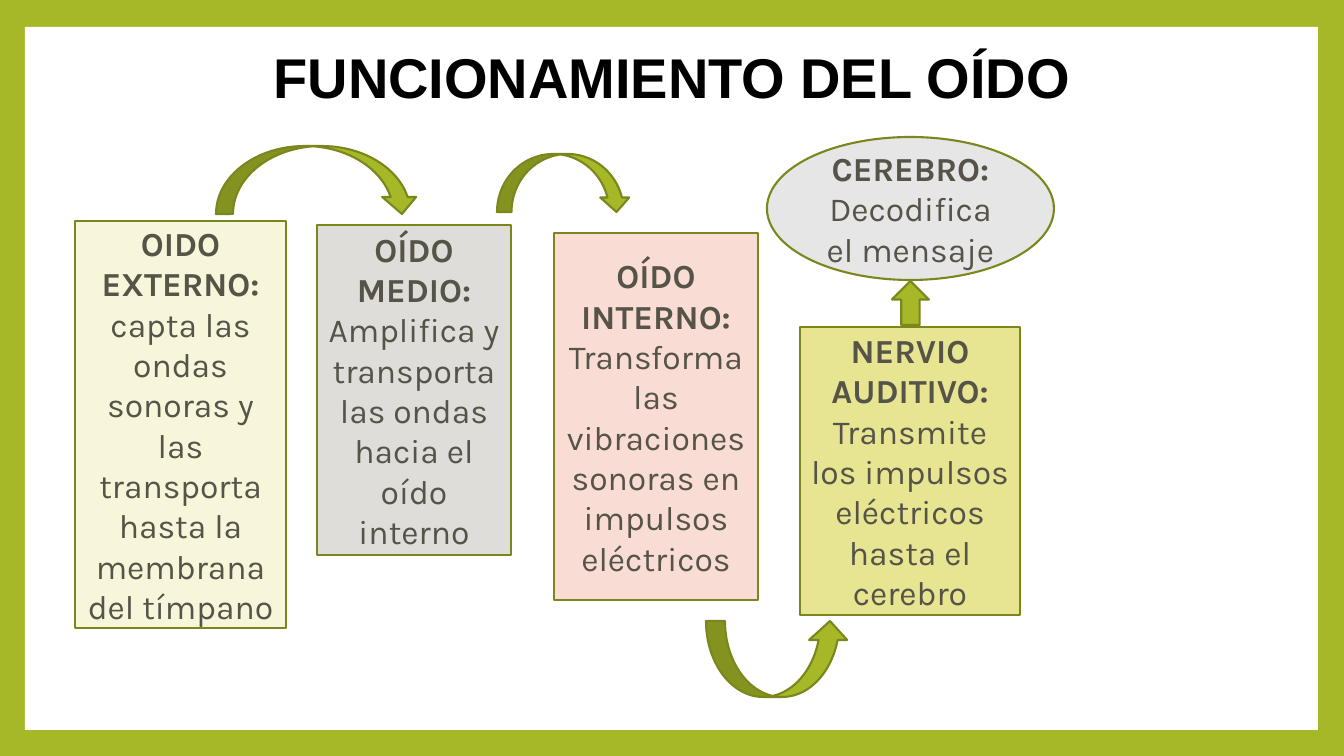
from pptx import Presentation
from pptx.dml.color import RGBColor
from pptx.enum.shapes import MSO_SHAPE
from pptx.enum.text import MSO_ANCHOR, MSO_AUTO_SIZE, PP_ALIGN
from pptx.util import Emu, Pt

# Content: lengths in px
PAGE_SIZE = (1344, 756)
PANEL = (25, 27, 1293, 703)
TITLE = "FUNCIONAMIENTO DEL OÍDO"
TITLE_AREA = (240, 34, 864, 92)
COLORS = {
    "green": "A6B727", "outline": "7B871D", "white": "FFFFFF",
    "black": "000000", "text": "565349", "cream": "F7F6DA",
    "gray": "DFDDD9", "pink": "F9DDD4", "lime": "E7E591", "silver": "E6E6E6",
}
# Preset, area, fill, paragraphs of (text, bold) spans
STAGES = [
    (MSO_SHAPE.RECTANGLE, (317, 225, 194, 330), "gray",
     [[("OÍDO MEDIO:", True)],
      [("Amplifica y transporta las ondas hacia el oído interno", False)]]),
    (MSO_SHAPE.RECTANGLE, (554, 233, 204, 367), "pink",
     [[("OÍDO INTERNO:", True)],
      [("Transforma las vibraciones sonoras en impulsos eléctricos", False)]]),
    (MSO_SHAPE.RECTANGLE, (75, 221, 211, 407), "cream",
     [[("OIDO EXTERNO: ", True),
       ("capta las ondas sonoras y las transporta hasta la membrana del tímpano", False)]]),
    (MSO_SHAPE.RECTANGLE, (800, 327, 220, 288), "lime",
     [[("NERVIO AUDITIVO:", True)],
      [("Transmite los impulsos eléctricos hasta el cerebro", False)]]),
    (MSO_SHAPE.OVAL, (767, 137, 287, 143), "silver",
     [[("CEREBRO: ", True), ("Decodifica el mensaje", False)]]),
]
ARROWS = [
    (MSO_SHAPE.CURVED_DOWN_ARROW, (216, 146, 203, 68)),
    (MSO_SHAPE.CURVED_DOWN_ARROW, (497, 154, 134, 58)),
    (MSO_SHAPE.CURVED_UP_ARROW, (706, 621, 143, 76)),
    (MSO_SHAPE.UP_ARROW, (892, 281, 37, 44)),
]
TITLE_FONT = {"name": "Arial", "size": Pt(40), "bold": True}
STAGE_FONT = {"name": "Karla", "size": Pt(24)}
FRAME_FORMAT = {"word_wrap": True, "auto_size": MSO_AUTO_SIZE.NONE,
                "vertical_anchor": MSO_ANCHOR.MIDDLE}


def px(length):
    return Emu(round(length * 914400 / 100.8))


def color(name):
    return RGBColor.from_string(COLORS[name])


def apply(target, values):
    for name, value in values.items():
        setattr(target, name, value)


def add_box(page, preset, area, fill, outlined=True):
    box = page.shapes.add_shape(preset, *map(px, area))
    box.shadow.inherit = False
    box.fill.solid()
    box.fill.fore_color.rgb = color(fill)
    if outlined:
        box.line.color.rgb = color("outline")
        box.line.width = Pt(1.5)
    else:
        box.line.fill.background()
    return box


def write(box, paragraphs, font, ink, line_spacing=1.0):
    frame = box.text_frame
    apply(frame, FRAME_FORMAT)
    for index, spans in enumerate(paragraphs):
        para = frame.add_paragraph() if index else frame.paragraphs[0]
        apply(para, {"alignment": PP_ALIGN.CENTER, "line_spacing": line_spacing})
        for text, bold in spans:
            span = para.add_run()
            span.text = text
            apply(span.font, {**font, "bold": bold})
            span.font.color.rgb = color(ink)


def main():
    deck = Presentation()
    deck.slide_width, deck.slide_height = map(px, PAGE_SIZE)
    page = deck.slides.add_slide(deck.slide_layouts[5])
    page.background.fill.solid()
    page.background.fill.fore_color.rgb = color("green")

    # White panel, behind the title
    panel = add_box(page, MSO_SHAPE.RECTANGLE, PANEL, "white", outlined=False)
    title = page.shapes.title
    title._element.addprevious(panel._element)

    # Title
    apply(title, dict(zip(("left", "top", "width", "height"), map(px, TITLE_AREA))))
    write(title, [[(TITLE, True)]], TITLE_FONT, "black", 0.9)

    # Stages of hearing
    for preset, area, fill, paragraphs in STAGES:
        write(add_box(page, preset, area, fill), paragraphs, STAGE_FONT, "text")

    # Arrows between stages
    for preset, area in ARROWS:
        add_box(page, preset, area, "green")

    deck.save("out.pptx")


if __name__ == "__main__":
    main()
